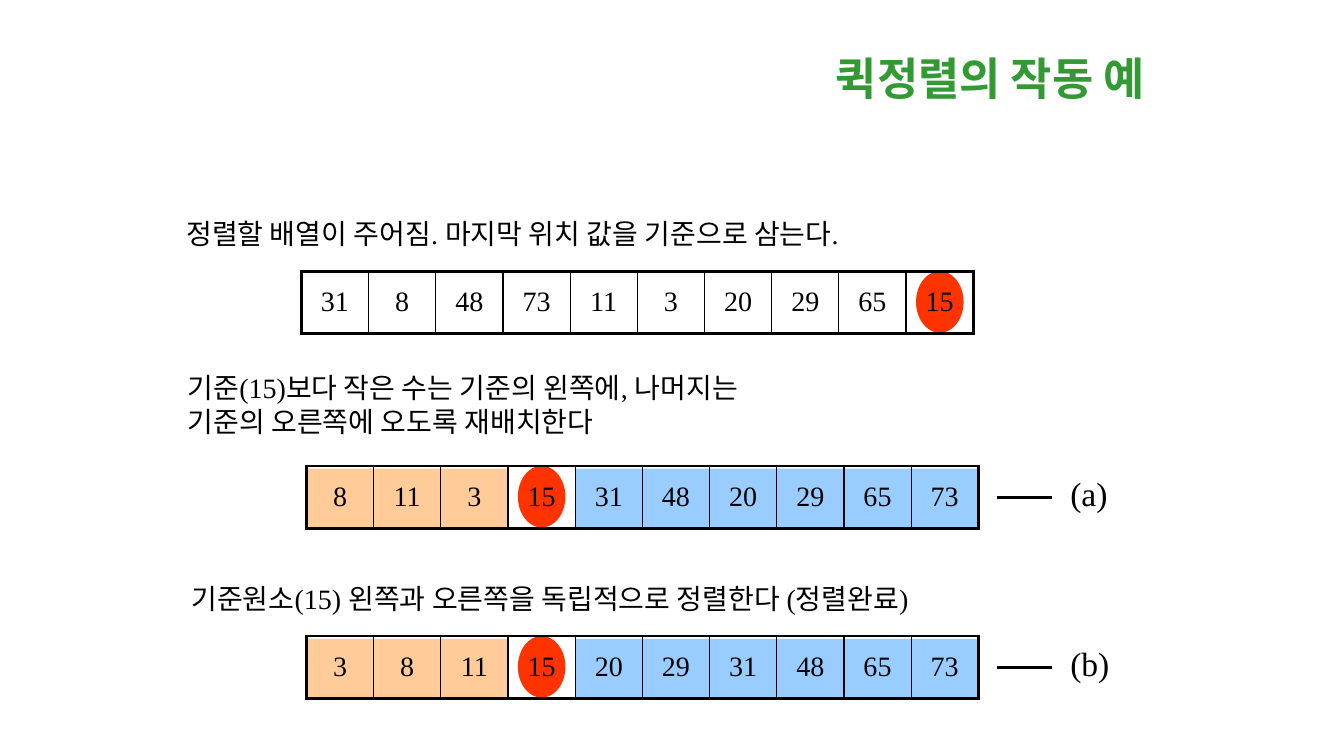
from lxml.etree import SubElement
from pptx import Presentation
from pptx.dml.color import RGBColor
from pptx.enum.shapes import MSO_CONNECTOR, MSO_SHAPE
from pptx.enum.text import MSO_ANCHOR, MSO_AUTO_SIZE, PP_ALIGN
from pptx.oxml.ns import qn
from pptx.util import Pt

# Content
TITLE = "퀵정렬의 작동 예"
PIVOT = 15
# (values, left, top, label, sides already split)
ARRAYS = [
    ([31, 8, 48, 73, 11, 3, 20, 29, 65, 15], 215.3, 193.7, None),
    ([8, 11, 3, 15, 31, 48, 20, 29, 65, 73], 218.9, 332.8, "(a)"),
    ([3, 8, 11, 15, 20, 29, 31, 48, 65, 73], 218.9, 454.3, "(b)"),
]
# (lines, left, top, width, height)
CAPTIONS = [
    (["정렬할 배열이 주어짐. 마지막 위치 값을 기준으로 삼는다."], 126, 151, 524, 32),
    (["기준(15)보다 작은 수는 기준의 왼쪽에, 나머지는",
      "기준의 오른쪽에 오도록 재배치한다"], 127, 261.4, 443, 56),
    (["기준원소(15) 왼쪽과 오른쪽을 독립적으로 정렬한다 (정렬완료)"], 129.6, 412, 614, 31),
]
FONT = "Times New Roman"
COLORS = {"title": "339933", "text": "000000", "line": "000000",
          "pivot": "FF3300", "smaller": "FFCC99", "larger": "99CCFF"}
CELL_WIDTH, CELL_HEIGHT = 48, 44.6
PIVOT_WIDTH, PIVOT_HEIGHT = 34, 44
THICK, THIN = 2.25, 1


def color(name):
    return RGBColor.from_string(COLORS[name])


def style(para, size, name="text"):
    para.font.name = FONT
    para.font.size = Pt(size)
    para.font.color.rgb = color(name)


def add_text(page, lines, left, top, width, height, size):
    box = page.shapes.add_textbox(Pt(left), Pt(top), Pt(width), Pt(height))
    frame = box.text_frame
    frame.word_wrap = True
    frame.text = "\n".join(lines)
    for para in frame.paragraphs:
        style(para, size)


def add_block(page, kind, left, top, width, height, name):
    block = page.shapes.add_shape(kind, Pt(left), Pt(top), Pt(width), Pt(height))
    block.shadow.inherit = False
    block.fill.solid()
    block.fill.fore_color.rgb = color(name)
    block.line.fill.background()


def set_borders(cell, widths):
    properties = cell._tc.get_or_add_tcPr()
    for position, (side, width) in enumerate(widths.items()):
        border = properties.makeelement(qn(f"a:{side}"), {"w": str(Pt(width))})
        fill = SubElement(border, qn("a:solidFill"))
        SubElement(fill, qn("a:srgbClr"), val=COLORS["line"])
        properties.insert(position, border)


def add_array(page, values, left, top):
    count = len(values)
    table = page.shapes.add_table(1, count, Pt(left), Pt(top),
                                  Pt(count * CELL_WIDTH), Pt(CELL_HEIGHT)).table
    table.first_row = table.horz_banding = False
    table.rows[0].height = Pt(CELL_HEIGHT)
    for index, value in enumerate(values):
        table.columns[index].width = Pt(CELL_WIDTH)
        cell = table.cell(0, index)
        cell.fill.background()
        cell.vertical_anchor = MSO_ANCHOR.MIDDLE
        cell.text = str(value)
        para = cell.text_frame.paragraphs[0]
        para.alignment = PP_ALIGN.CENTER
        para.space_before = Pt(4)
        style(para, 20)
        set_borders(cell, {"lnL": THICK if index == 0 else THIN,
                           "lnR": THICK if index == count - 1 else THIN,
                           "lnT": THICK, "lnB": THICK})


def add_label(page, label, left, middle):
    line = page.shapes.add_connector(MSO_CONNECTOR.STRAIGHT, Pt(left), Pt(middle),
                                     Pt(left + 39), Pt(middle))
    line.line.color.rgb = color("line")
    line.line.width = Pt(THICK)
    SubElement(line._element.spPr, qn("a:effectLst"))
    add_text(page, [label], left + 45, middle - 21, 46, 36, 24)


def main():
    deck = Presentation()
    deck.slide_width, deck.slide_height = Pt(960), Pt(540)
    page = deck.slides.add_slide(deck.slide_layouts[5])

    # Title
    title = page.shapes.title
    title.left, title.top, title.width, title.height = Pt(575), Pt(24), Pt(265), Pt(63)
    title.text = TITLE
    title.text_frame.auto_size = MSO_AUTO_SIZE.NONE
    title.text_frame.vertical_anchor = MSO_ANCHOR.MIDDLE
    heading = title.text_frame.paragraphs[0]
    heading.alignment = PP_ALIGN.CENTER
    style(heading, 32, "title")
    heading.font.bold = True

    # Arrays: coloured sides and pivot lie behind the unfilled table
    for values, left, top, label in ARRAYS:
        pivot_left = left + values.index(PIVOT) * CELL_WIDTH
        right = left + len(values) * CELL_WIDTH
        if label:
            larger_left = pivot_left + CELL_WIDTH
            add_block(page, MSO_SHAPE.RECTANGLE, left + 1, top + 2,
                      pivot_left - left - 1, 42, "smaller")
            add_block(page, MSO_SHAPE.RECTANGLE, larger_left, top + 2,
                      right - larger_left - 1, 42, "larger")
        add_block(page, MSO_SHAPE.OVAL, pivot_left + (CELL_WIDTH - PIVOT_WIDTH) / 2, top,
                  PIVOT_WIDTH, PIVOT_HEIGHT, "pivot")
        add_array(page, values, left, top)
        if label:
            add_label(page, label, right + 13.5, top + CELL_HEIGHT / 2)

    # Captions
    for lines, left, top, width, height in CAPTIONS:
        add_text(page, lines, left, top, width, height, 20)

    deck.save("out.pptx")


if __name__ == "__main__":
    main()
